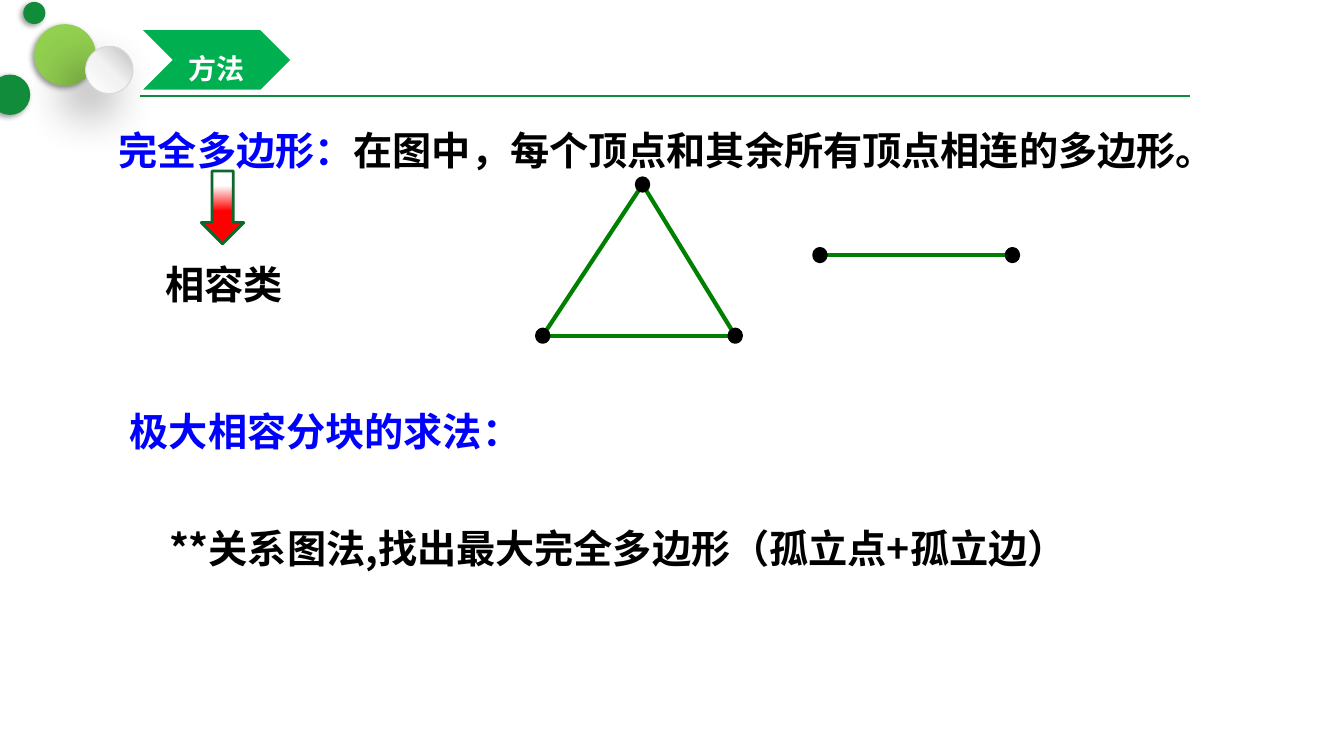
from itertools import combinations

from lxml.etree import SubElement
from pptx import Presentation
from pptx.dml.color import RGBColor
from pptx.enum.shapes import MSO_CONNECTOR as CONN, MSO_SHAPE as SHAPE
from pptx.enum.text import MSO_ANCHOR as ANCHOR, PP_ALIGN as ALIGN
from pptx.oxml.ns import qn
from pptx.util import Pt

COLORS = {"black": "000000", "white": "FFFFFF", "blue": "0000FF", "red": "FF0000",
          "leaf": "92D050", "forest": "118C3B", "tag": "00B050", "edge": "008000",
          "arrow": "0D682C", "rim": "D9D9D9", "pearl": "F2F2F2", "silver": "BFBFBF"}
CJK, SERIF = "Noto Sans CJK SC", "Times New Roman"


def rgb(name):
    """Return the named colour."""
    return RGBColor.from_string(COLORS[name])


def add_shape(s, kind, box, fill, line=None, width=1):
    """Add a flat preset shape in a box of points."""
    sp = s.shapes.add_shape(kind, *map(Pt, box))
    sp.shadow.inherit = False
    sp.fill.solid()
    sp.fill.fore_color.rgb = rgb(fill)
    if line:
        sp.line.color.rgb = rgb(line)
        sp.line.width = Pt(width)
    else:
        sp.line.fill.background()
    return sp


def add_line(s, start, end, color, width):
    """Add a straight line between two points."""
    c = s.shapes.add_connector(CONN.STRAIGHT, *map(Pt, (*start, *end)))
    c.line.color.rgb = rgb(color)
    c.line.width = Pt(width)
    SubElement(c._element.spPr, qn("a:effectLst"))


def set_gradient(sp, stops, angle):
    """Fill a shape with a linear gradient of (percent, colour) stops."""
    sp.fill.gradient()
    grad = sp._element.spPr.find(qn("a:gradFill"))
    gs_list = grad.find(qn("a:gsLst"))
    for gs in list(gs_list):
        gs_list.remove(gs)
    for pos, color in stops:
        gs = SubElement(gs_list, qn("a:gs"), pos=str(pos * 1000))
        SubElement(gs, qn("a:srgbClr"), val=COLORS[color])
    grad.find(qn("a:lin")).set("ang", str(angle * 60000))


def set_shadow(sp, blur, dist):
    """Cast a soft shadow to the lower left."""
    effects = sp._element.spPr.find(qn("a:effectLst"))
    shadow = SubElement(effects, qn("a:outerShdw"), blurRad=str(Pt(blur)),
                        dist=str(Pt(dist)), dir=str(135 * 60000), rotWithShape="0")
    color = SubElement(shadow, qn("a:srgbClr"), val=COLORS["black"])
    SubElement(color, qn("a:alpha"), val="40000")


def format_run(r, size, color, font=CJK):
    """Set a bold run in one font for Latin and Chinese."""
    r.font.size, r.font.bold, r.font.name = Pt(size), True, font
    r.font.color.rgb = rgb(color)
    SubElement(r._r.get_or_add_rPr(), qn("a:ea"), typeface=CJK)


def add_text(s, box, parts, font=CJK, wrap=True):
    """Add one paragraph of (text, colour) parts."""
    tf = s.shapes.add_textbox(*map(Pt, box)).text_frame
    tf.word_wrap = wrap
    p = tf.paragraphs[0]
    p.line_spacing = 1.5
    for text, color in parts:
        r = p.add_run()
        r.text = text
        format_run(r, 28, color, font)


def add_header(s, x, y):
    """Place the rule, bubbles and title tag from the top left corner."""
    add_line(s, (x + 100, y + 68.4), (x + 850.3, y + 68.4), "forest", 1.25)
    bubbles = [(24.5, 17.3, 44, "leaf"), (-7.2, 53.3, 28.8, "forest"),
               (61.2, 33.1, 33.8, "pearl"), (16.6, 1.4, 15.8, "forest")]
    for dx, dy, d, color in bubbles:
        pearl = color == "pearl"
        sp = add_shape(s, SHAPE.OVAL, (x + dx, y + dy, d, d), color,
                       "rim" if pearl else None, 0.75)
        set_shadow(sp, *((35, 20) if pearl else (4, 2)))
        if pearl:
            set_gradient(sp, [(0, "white"), (50, "pearl"), (100, "silver")], 315)
    tag = (x + 102.2, y + 21.6, 105.1, 42.5)
    add_shape(s, SHAPE.CHEVRON, tag, "tag")
    title = s.shapes.title
    title.left, title.top, title.width, title.height = map(Pt, tag)
    s.shapes._spTree.append(title._element)
    tf = title.text_frame
    tf.text = "方法"
    tf.vertical_anchor = ANCHOR.MIDDLE
    p = tf.paragraphs[0]
    p.alignment, p.line_spacing = ALIGN.CENTER, 1.5
    format_run(p.runs[0], 20, "white")


def add_polygon(s, x, y, vertices):
    """Join every pair of vertices and dot each one."""
    points = [(x + dx, y + dy) for dx, dy in vertices]
    for start, end in combinations(points, 2):
        add_line(s, start, end, "edge", 3)
    for px, py in points:
        add_shape(s, SHAPE.OVAL, (px - 4, py - 4.3, 8, 8.6), "black", "black", 3)


def add_definition(s, x, y):
    """Place the definition, its arrow and the term it leads to."""
    add_text(s, (x, y, 836, 52), [("完全多边形：", "blue"),
             ("在图中，每个顶点和其余所有顶点相连的多边形。", "black")])
    arrow = add_shape(s, SHAPE.DOWN_ARROW, (x + 66, y + 52.4, 30.4, 52), "red", "arrow", 2)
    set_gradient(arrow, [(0, "white"), (20, "white"), (55, "red"), (100, "red")], 90)
    add_text(s, (x + 33, y + 95.8, 99.4, 52), [("相容类", "black")], wrap=False)


def add_method(s, x, y):
    """Place the heading and the method below it."""
    add_text(s, (x, y, 570, 52), [("极大相容分块的求法：", "blue")], SERIF)
    add_text(s, (x + 28, y + 83.5, 732, 52),
             [("**关系图法,找出最大完全多边形（孤立点+孤立边）", "black")])


def main():
    """Build the slide and save it."""
    prs = Presentation()
    prs.slide_width, prs.slide_height = Pt(960), Pt(540)
    s = prs.slides.add_slide(prs.slide_layouts[5])
    add_header(s, 0, 0)
    add_definition(s, 77.8, 69.8)
    add_polygon(s, 387.7, 131.8, [(71.3, 0), (0, 108), (137.5, 108)])
    add_polygon(s, 585.7, 182.2, [(0, 0), (137.5, 0)])
    add_method(s, 85.7, 270.7)
    prs.save("out.pptx")


if __name__ == "__main__":
    main()
